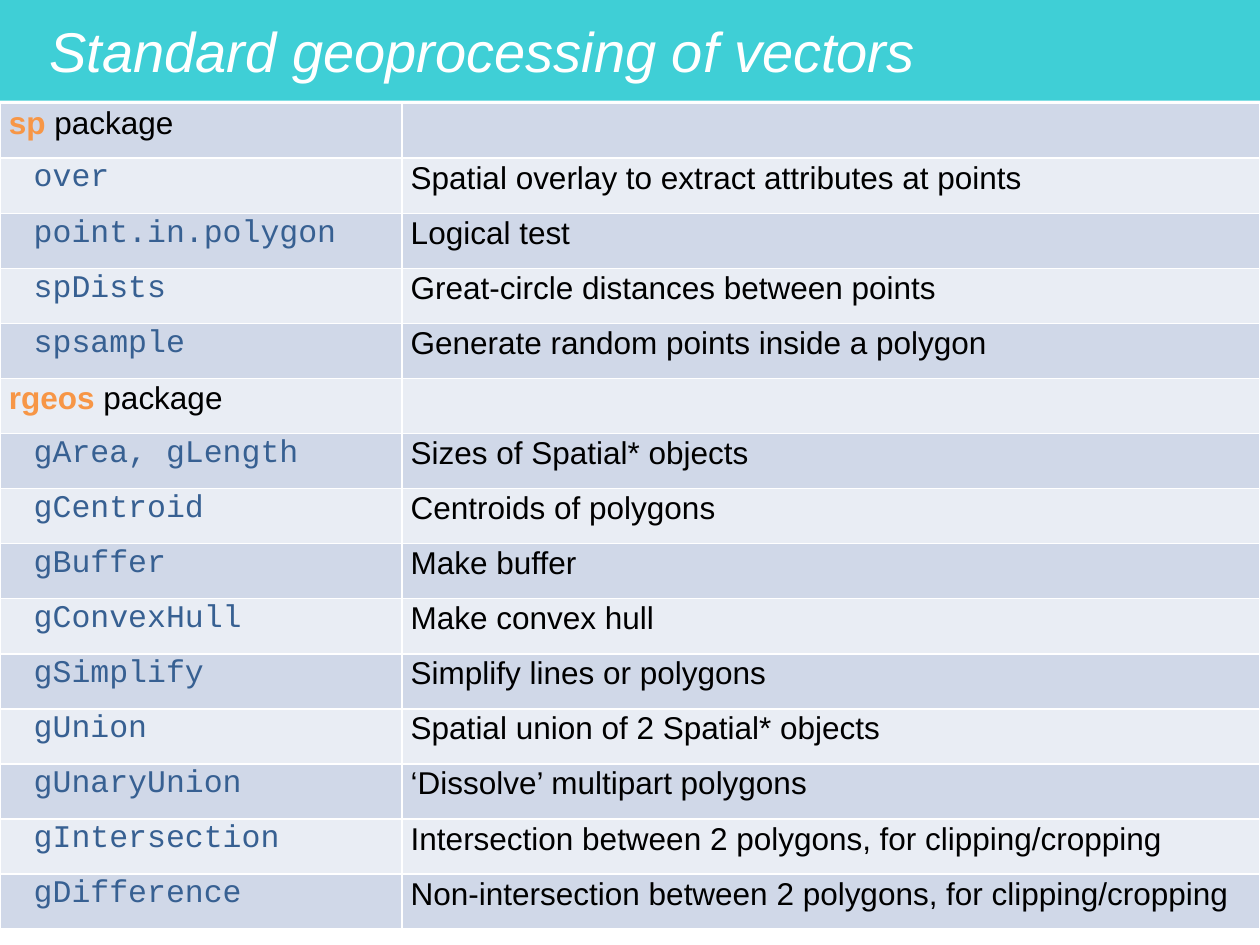
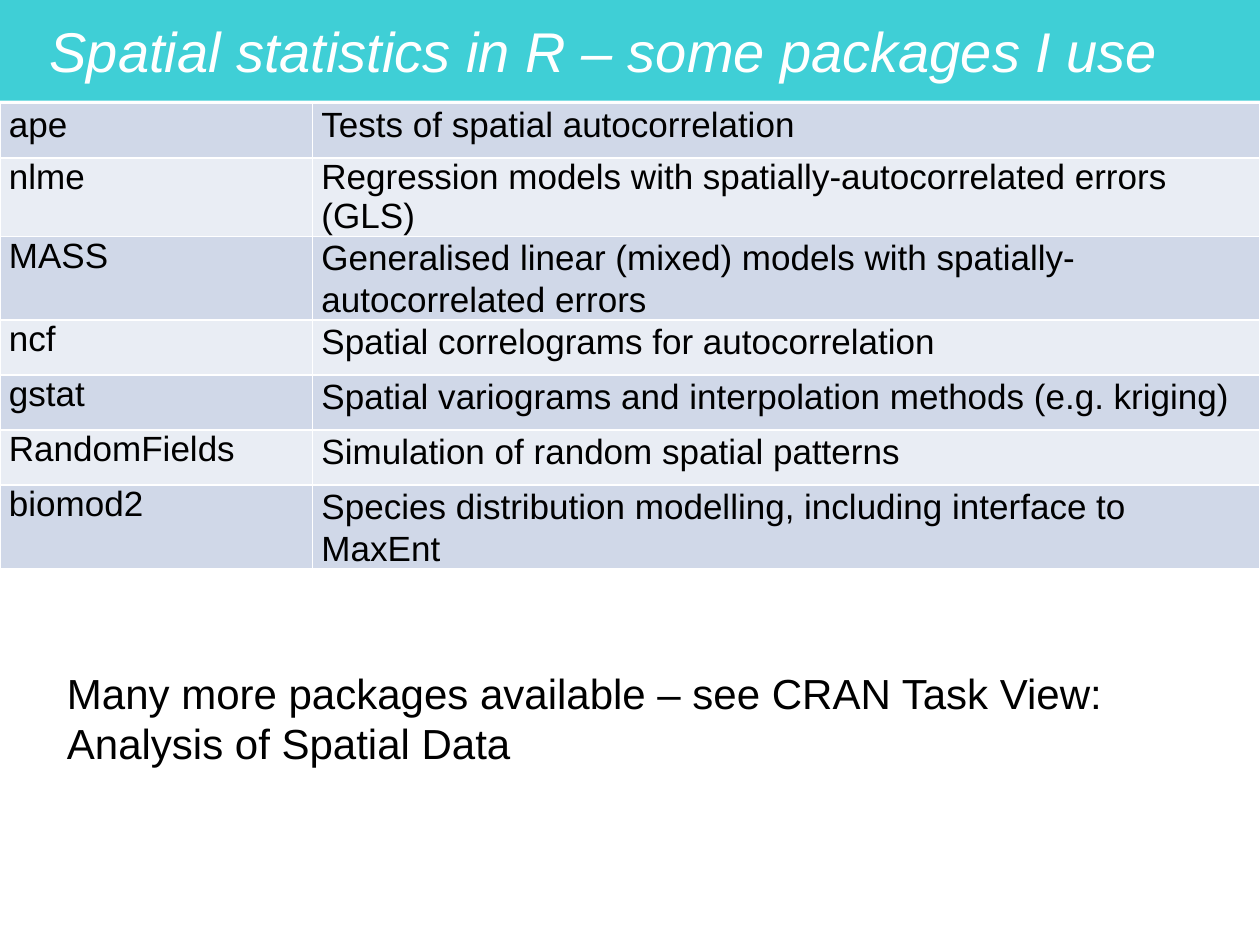
from lxml.etree import SubElement
from pptx import Presentation
from pptx.dml.color import RGBColor
from pptx.enum.shapes import MSO_SHAPE
from pptx.enum.text import MSO_ANCHOR, MSO_AUTO_SIZE, PP_ALIGN
from pptx.oxml.ns import qn
from pptx.util import Cm, Pt

TURQUOISE, WHITE, BLACK = "3FCFD6", "FFFFFF", "000000"
ORANGE, CODE_BLUE = "F79646", "376092"
ROW_BANDS = ("D0D8E8", "E9EDF4")
SANS, MONO = "Arial", "Courier New"
SLIDE_WIDTH, SLIDE_HEIGHT = 25.4, 19.05
BAND_HEIGHT, TABLE_TOP, ROW_HEIGHT = 2.03, 2.08, 1.11
LOOSE = 1.07

# Each package with its functions and what they do
GEOPROCESSING = {
    "sp": [
        ("over", "Spatial overlay to extract attributes at points"),
        ("point.in.polygon", "Logical test"),
        ("spDists", "Great-circle distances between points"),
        ("spsample", "Generate random points inside a polygon"),
    ],
    "rgeos": [
        ("gArea, gLength", "Sizes of Spatial* objects"),
        ("gCentroid", "Centroids of polygons"),
        ("gBuffer", "Make buffer"),
        ("gConvexHull", "Make convex hull"),
        ("gSimplify", "Simplify lines or polygons"),
        ("gUnion", "Spatial union of 2 Spatial* objects"),
        ("gUnaryUnion", "‘Dissolve’ multipart polygons"),
        ("gIntersection", "Intersection between 2 polygons, for clipping/cropping"),
        ("gDifference", "Non-intersection between 2 polygons, for clipping/cropping"),
    ],
}

# Package, purpose, and the line spacing of each of the two cells
STATISTICS = [
    ("ape", "Tests of spatial autocorrelation", LOOSE, LOOSE),
    ("nlme", "Regression models with spatially-autocorrelated errors (GLS)", 1.0, 1.0),
    ("MASS", "Generalised linear (mixed) models with spatially-autocorrelated errors", 1.0, LOOSE),
    ("ncf", "Spatial correlograms for autocorrelation", 1.0, LOOSE),
    ("gstat", "Spatial variograms and interpolation methods (e.g. kriging)", 1.0, LOOSE),
    ("RandomFields", "Simulation of random spatial patterns", 1.0, LOOSE),
    ("biomod2", "Species distribution modelling, including interface to MaxEnt", 1.0, LOOSE),
]


def rgb(value):
    return RGBColor.from_string(value)


def set_font(font, size, color=BLACK, name=SANS):
    font.name = name
    font.size = Pt(size)
    font.color.rgb = rgb(color)


def move_band_to_layout(slide):
    """Draw the title band and hand it to the layout, behind everything else."""
    band = slide.shapes.add_shape(
        MSO_SHAPE.RECTANGLE, 0, 0, Cm(SLIDE_WIDTH), Cm(BAND_HEIGHT))
    band.shadow.inherit = False
    band.fill.solid()
    band.fill.fore_color.rgb = rgb(TURQUOISE)
    band.line.fill.background()
    slide.slide_layout.shapes.element.insert(2, band.element)


def add_titled_slide(prs, text):
    slide = prs.slides.add_slide(prs.slide_layouts[5])
    title = slide.shapes.title
    title.left, title.top = 0, 0
    title.width, title.height = Cm(SLIDE_WIDTH), Cm(BAND_HEIGHT)
    frame = title.text_frame
    frame.auto_size = MSO_AUTO_SIZE.NONE
    frame.vertical_anchor = MSO_ANCHOR.MIDDLE
    frame.margin_left = frame.margin_right = Cm(1)
    frame.margin_top = frame.margin_bottom = 0
    frame.text = text
    heading = frame.paragraphs[0]
    heading.alignment = PP_ALIGN.LEFT
    set_font(heading.font, 32, WHITE)
    heading.font.italic = True
    return slide


def set_borders(cell, color=WHITE, width=1):
    properties = cell._tc.get_or_add_tcPr()
    for side in ("lnL", "lnR", "lnT", "lnB"):
        line = SubElement(properties, qn(f"a:{side}"), w=str(Pt(width)))
        SubElement(SubElement(line, qn("a:solidFill")), qn("a:srgbClr"), val=color)


def add_banded_table(slide, row_count, column_widths):
    table = slide.shapes.add_table(
        row_count, len(column_widths), 0, Cm(TABLE_TOP),
        Cm(SLIDE_WIDTH), Cm(row_count * ROW_HEIGHT)).table
    table.first_row = False
    for column, width in zip(table.columns, column_widths):
        column.width = Cm(width)
    for index, row in enumerate(table.rows):
        row.height = Cm(ROW_HEIGHT)
        for cell in row.cells:
            cell.margin_left = cell.margin_right = Cm(0.18)
            cell.margin_top = cell.margin_bottom = 0
            set_borders(cell)
            cell.fill.solid()
            cell.fill.fore_color.rgb = rgb(ROW_BANDS[index % 2])
    return table


def write_cell(cell, text, size, spacing=LOOSE, color=BLACK, name=SANS, indent=0):
    paragraph = cell.text_frame.paragraphs[0]
    paragraph.text = text
    paragraph.line_spacing = spacing
    if indent:
        paragraph._p.get_or_add_pPr().set("marL", str(Cm(indent)))
    set_font(paragraph.font, size, color, name)


def write_package_heading(cell, package):
    paragraph = cell.text_frame.paragraphs[0]
    paragraph.line_spacing = LOOSE
    for text, color, bold in ((f"{package} ", ORANGE, True), ("package", BLACK, False)):
        run = paragraph.add_run()
        run.text = text
        set_font(run.font, 18, color)
        run.font.bold = bold


def fill_geoprocessing(slide):
    row_count = sum(1 + len(functions) for functions in GEOPROCESSING.values())
    table = add_banded_table(slide, row_count, (8.1, 17.3))
    rows = iter(table.rows)
    for package, functions in GEOPROCESSING.items():
        write_package_heading(next(rows).cells[0], package)
        for function, purpose in functions:
            cells = next(rows).cells
            write_cell(cells[0], function, 18, color=CODE_BLUE, name=MONO, indent=0.5)
            write_cell(cells[1], purpose, 18)


def fill_statistics(slide):
    table = add_banded_table(slide, len(STATISTICS), (6.3, 19.1))
    for row, (package, purpose, *spacings) in zip(table.rows, STATISTICS):
        for cell, text, spacing in zip(row.cells, (package, purpose), spacings):
            write_cell(cell, text, 20, spacing)


def add_remark(slide, text):
    frame = slide.shapes.add_textbox(Cm(1.1), Cm(13.33), Cm(23.4), Cm(2.31)).text_frame
    frame.word_wrap = True
    frame.text = text
    set_font(frame.paragraphs[0].font, 24)


def main():
    prs = Presentation()
    prs.slide_width, prs.slide_height = Cm(SLIDE_WIDTH), Cm(SLIDE_HEIGHT)

    geoprocessing = add_titled_slide(prs, "Standard geoprocessing of vectors")
    move_band_to_layout(geoprocessing)
    fill_geoprocessing(geoprocessing)

    statistics = add_titled_slide(prs, "Spatial statistics in R – some packages I use")
    fill_statistics(statistics)
    add_remark(statistics, "Many more packages available – see CRAN Task View: "
                           "Analysis of Spatial Data")

    prs.save("out.pptx")


if __name__ == "__main__":
    main()
